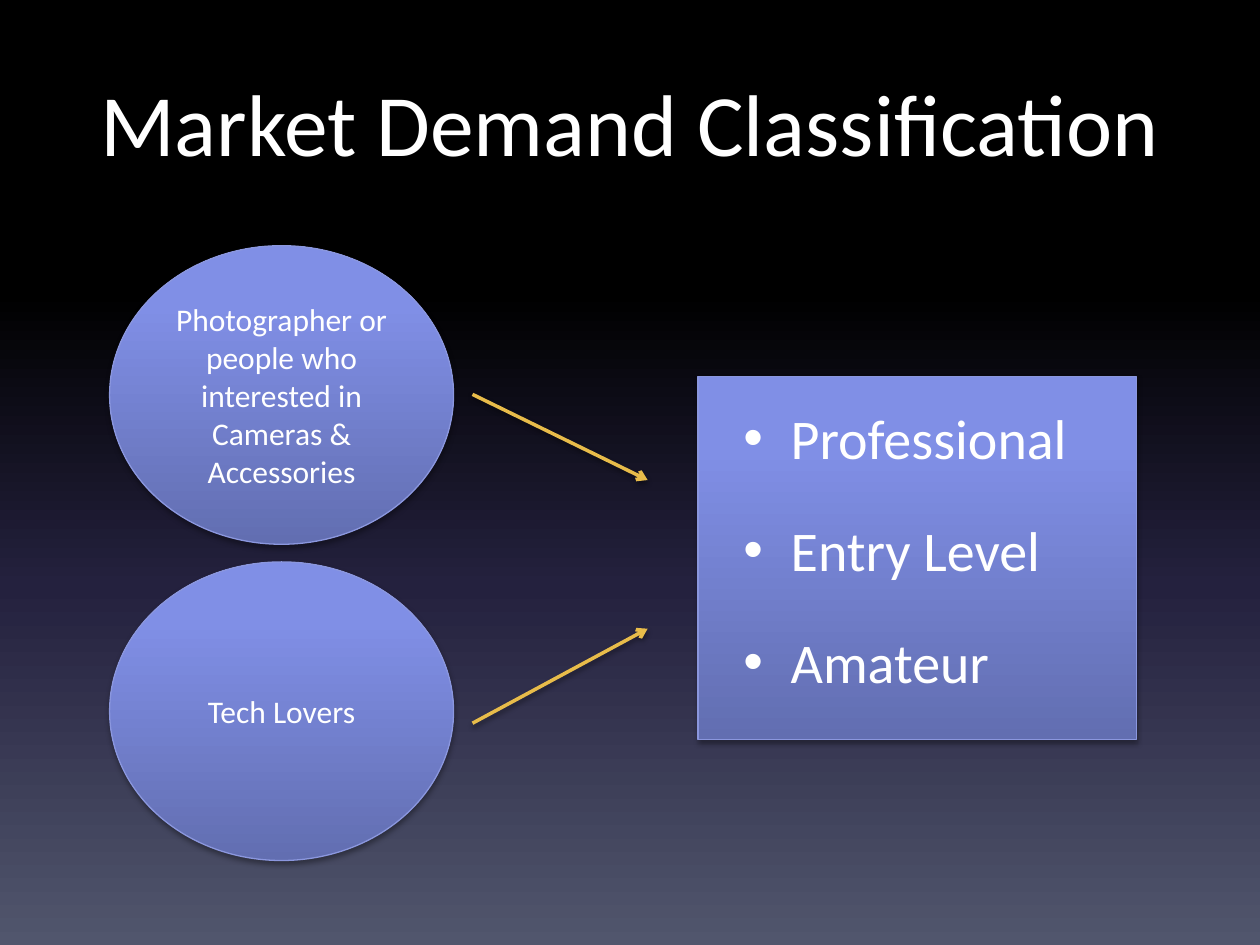
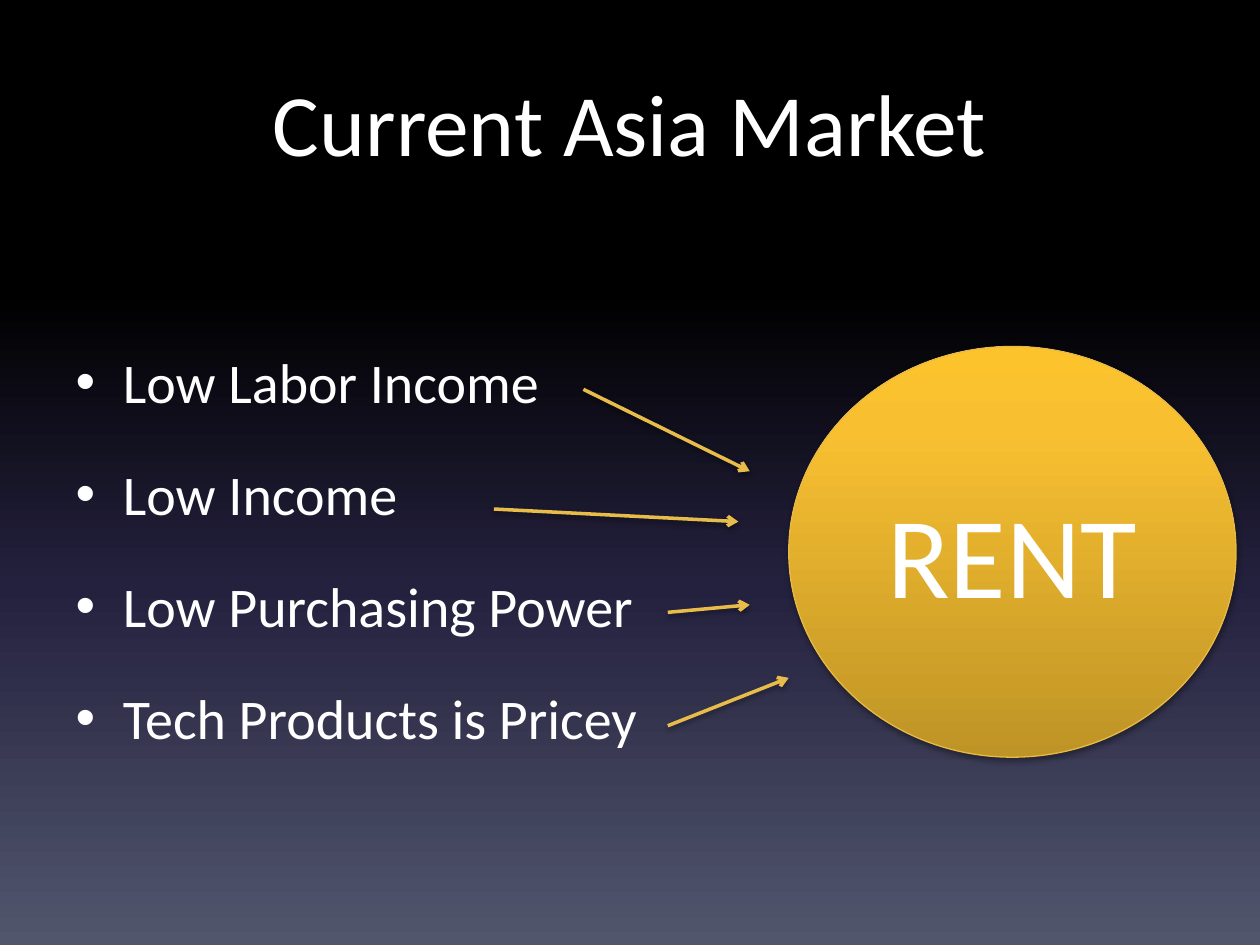
from lxml.etree import SubElement
from pptx import Presentation
from pptx.dml.color import RGBColor
from pptx.enum.shapes import MSO_CONNECTOR as CONNECTOR, MSO_SHAPE as SHAPE
from pptx.enum.text import MSO_ANCHOR as ANCHOR, MSO_AUTO_SIZE as AUTO_SIZE, PP_ALIGN as ALIGN
from pptx.oxml.ns import qn
from pptx.util import Inches, Pt

COLORS = {"text": "FFFFFF", "arrow": "E8BC4A", "shadow": "000000", "blue_line": "8B97DE", "gold_line": "E7BA45"}
GRADIENTS = {
    "background": [(0, "000000"), (31, "000000"), (62, "24213E"), (100, "51566D")],
    "blue": [(0, "626EB1"), (80, "808FE6"), (100, "7E8EE9")],
    "gold": [(0, "BF9426"), (80, "F8C031"), (100, "FDC32D")],
}
FONT = {"name": "Calibri", "bold": False}
FORMATS = {
    "title": {"alignment": ALIGN.CENTER},
    "body": {"alignment": ALIGN.LEFT, "line_spacing": 1.5},
    "shape": {"alignment": ALIGN.CENTER},
}
FRAMES = {
    "title": {"vertical_anchor": ANCHOR.TOP, "auto_size": AUTO_SIZE.NONE},
    "body": {"vertical_anchor": ANCHOR.MIDDLE, "auto_size": AUTO_SIZE.NONE},
    "shape": {"vertical_anchor": ANCHOR.MIDDLE, "word_wrap": True},
}
CIRCLE_LEFT, CIRCLE_WIDTH, CIRCLE_HEIGHT = 0.87, 2.73, 2.37
SLIDES = [
    {
        "title": "Market Demand Classification",
        "body": ["Professional", "Entry Level", "Amateur"],
        "body_box": (5.8, 1.75, 3.57, 4.95),
        "panels": [(5.54, 2.99, 3.48, 2.88)],
        "circles": [
            ("Photographer or people who interested in Cameras & Accessories", 18, "blue",
             (CIRCLE_LEFT, 1.95, CIRCLE_WIDTH, CIRCLE_HEIGHT)),
            ("Tech Lovers", 18, "blue", (CIRCLE_LEFT, 4.46, CIRCLE_WIDTH, CIRCLE_HEIGHT)),
        ],
        "arrows": [(3.75, 3.13, 5.14, 3.81), (3.75, 5.74, 5.14, 4.99)],
    },
    {
        "title": "Current Asia Market",
        "body": ["Low Labor Income", "Low Income", "Low Purchasing Power", "Tech Products is Pricey"],
        "body_box": (0.5, 1.75, 9, 4.95),
        "panels": [],
        "circles": [("RENT", 66, "gold", (6.26, 2.75, 3.55, 3.26))],
        "arrows": [(4.63, 3.09, 5.95, 3.74), (3.92, 4.04, 5.86, 4.14),
                   (5.3, 4.86, 5.95, 4.8), (5.3, 5.76, 6.26, 5.38)],
    },
]


def set_gradient(fill, element, name, angle):
    fill.gradient()
    fill.gradient_angle = angle
    stop_list = element.find(".//" + qn("a:gsLst"))
    for stop in list(stop_list):
        stop_list.remove(stop)
    for position, color in GRADIENTS[name]:
        stop = SubElement(stop_list, qn("a:gs"), pos=str(position * 1000))
        SubElement(stop, qn("a:srgbClr"), val=color)


def add_shadow(properties, opacity, distance):
    effects = properties.find(qn("a:effectLst"))
    if effects is None:
        effects = SubElement(properties, qn("a:effectLst"))
    shadow = SubElement(effects, qn("a:outerShdw"), blurRad=str(Pt(3.1)), dist=str(Pt(distance)),
                        dir="5400000", rotWithShape="0")
    color = SubElement(shadow, qn("a:srgbClr"), val=COLORS["shadow"])
    SubElement(color, qn("a:alpha"), val=str(opacity * 1000))


presentation = Presentation()
presentation.slide_width, presentation.slide_height = Inches(10), Inches(7.5)
master = presentation.slide_master
set_gradient(master.background.fill, master.element.cSld, "background", 270)

for content in SLIDES:
    slide = presentation.slides.add_slide(presentation.slide_layouts[1])
    title, body = slide.shapes.title, slide.placeholders[1]
    for placeholder, box in [(title, (0.5, 0.5, 9, 1.25)), (body, content["body_box"])]:
        for name, value in zip(("left", "top", "width", "height"), box):
            setattr(placeholder, name, Inches(value))
    texts = [(title, [content["title"]], 50, "title"), (body, content["body"], 32, "body")]

    blocks = [(SHAPE.RECTANGLE, "", 18, "blue", box) for box in content["panels"]]
    blocks += [(SHAPE.OVAL, *circle) for circle in content["circles"]]
    for kind, text, size, color, box in blocks:
        shape = slide.shapes.add_shape(kind, *map(Inches, box))
        set_gradient(shape.fill, shape.element.spPr, color, 90)
        shape.line.color.rgb = RGBColor.from_string(COLORS[color + "_line"])
        shape.line.width = Pt(0.75)
        shape.shadow.inherit = False
        add_shadow(shape.element.spPr, 35, 1.8)
        if text:
            texts.append((shape, [text], size, "shape"))
        else:
            title.element.addprevious(shape.element)

    for shape, lines, size, style in texts:
        frame = shape.text_frame
        frame.text = "\n".join(lines)
        for name, value in FRAMES[style].items():
            setattr(frame, name, value)
        for paragraph in frame.paragraphs:
            for name, value in FORMATS[style].items():
                setattr(paragraph, name, value)
            font = paragraph.runs[0].font
            for name, value in {**FONT, "size": Pt(size)}.items():
                setattr(font, name, value)
            font.color.rgb = RGBColor.from_string(COLORS["text"])

    for ends in content["arrows"]:
        arrow = slide.shapes.add_connector(CONNECTOR.STRAIGHT, *map(Inches, ends))
        arrow.line.color.rgb = RGBColor.from_string(COLORS["arrow"])
        arrow.line.width = Pt(2)
        SubElement(arrow.element.spPr.find(qn("a:ln")), qn("a:tailEnd"), type="arrow")
        add_shadow(arrow.element.spPr, 38, 1.6)

presentation.save("out.pptx")
